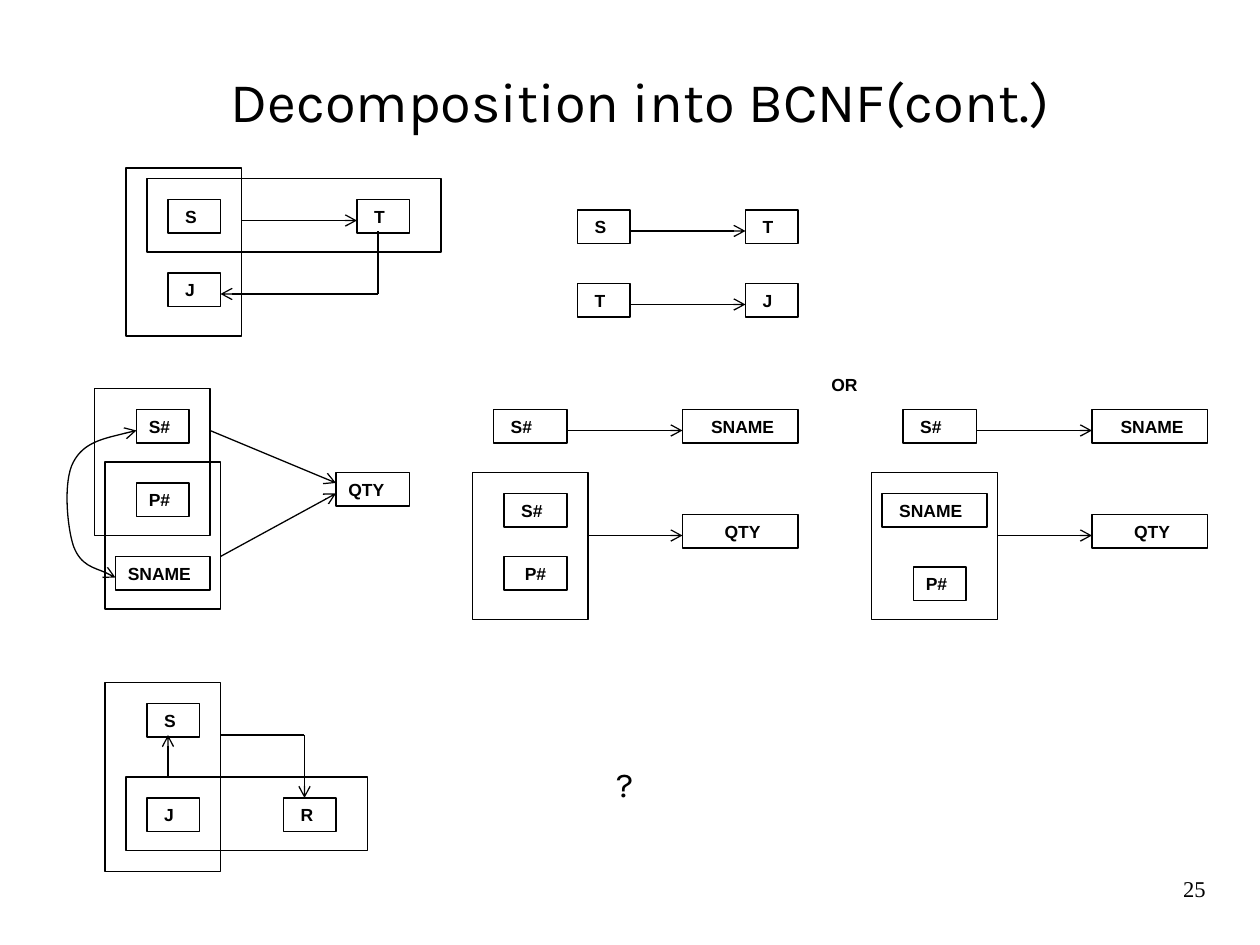
from dataclasses import dataclass

from lxml import etree
from pptx import Presentation
from pptx.dml.color import RGBColor
from pptx.enum.shapes import MSO_CONNECTOR, MSO_SHAPE
from pptx.enum.text import MSO_ANCHOR, MSO_AUTO_SIZE, PP_ALIGN
from pptx.oxml.ns import qn
from pptx.util import Cm, Pt

RECT = MSO_SHAPE.RECTANGLE
LINE = MSO_CONNECTOR.STRAIGHT
TOP, MIDDLE = MSO_ANCHOR.TOP, MSO_ANCHOR.MIDDLE
LEFT, CENTER, RIGHT = PP_ALIGN.LEFT, PP_ALIGN.CENTER, PP_ALIGN.RIGHT
GROW = MSO_AUTO_SIZE.SHAPE_TO_FIT_TEXT

COLORS = {"ink": "000000"}
INK = RGBColor.from_string(COLORS["ink"])
GRID = Cm(2.54) / 12  # all diagrams sit on a grid of twelve steps to the inch
TALL = 3.2  # height of a box with a label


@dataclass
class Box:
    text: str
    x: float
    y: float
    wide: float = 5
    align: PP_ALIGN = LEFT


@dataclass
class Frame:
    x: float
    y: float
    wide: float
    high: float


@dataclass
class Link:
    x1: float
    y1: float
    x2: float
    y2: float
    arrow: bool = True


@dataclass
class Note:
    text: str
    area: tuple[float, float, float, float]
    font: str
    size: float
    align: PP_ALIGN = LEFT
    anchor: MSO_ANCHOR = TOP
    bold: bool = False
    before: float = 0
    leading: float = 1.0


@dataclass
class Curve:
    """Chain of cubic curves: a start, then three points a piece."""
    points: list[tuple[float, float]]


def grid(*steps: float) -> list[int]:
    return [round(step * GRID) for step in steps]


def stroke(shape) -> None:
    shape.line.color.rgb = INK
    shape.line.width = Pt(0.75)


def outline(shape) -> None:
    shape.shadow.inherit = False
    shape.fill.background()
    stroke(shape)


def add_tip(shape, end: str) -> None:
    line = shape.line._get_or_add_ln()
    etree.SubElement(line, qn(f"a:{end}"), type="arrow")


def write(shape, note: Note) -> None:
    frame = shape.text_frame
    frame.word_wrap = True
    frame.vertical_anchor = note.anchor
    frame.text = note.text
    para = frame.paragraphs[0]
    para.alignment = note.align
    para.space_before = Pt(note.before)
    para.line_spacing = note.leading
    font = para.runs[0].font
    font.name, font.size, font.bold = note.font, Pt(note.size), note.bold
    font.color.rgb = INK


def draw_note(shapes, note: Note) -> None:
    write(shapes.add_textbox(*grid(*note.area)), note)


def draw_box(shapes, box: Box) -> None:
    area = (box.x, box.y, box.wide, TALL)
    shape = shapes.add_shape(RECT, *grid(*area))
    outline(shape)
    write(shape, Note(box.text, area, "Arial", 10, box.align, bold=True, before=6.2))
    shape.text_frame.auto_size = GROW


def draw_frame(shapes, frame: Frame) -> None:
    outline(shapes.add_shape(RECT, *grid(frame.x, frame.y, frame.wide, frame.high)))


def draw_link(shapes, link: Link) -> None:
    line = shapes.add_connector(LINE, *grid(link.x1, link.y1, link.x2, link.y2))
    stroke(line)
    if link.arrow:
        add_tip(line, "tailEnd")
    etree.SubElement(line._element.spPr, qn("a:effectLst"))


def draw_curve(shapes, curve: Curve) -> None:
    """Build a polyline in tenths of a step, then turn each three points into a cubic."""
    first, *rest = [(round(x * 10), round(y * 10)) for x, y in curve.points]
    pen = shapes.build_freeform(*first, scale=GRID / 10)
    pen.add_line_segments(rest, close=False)
    shape = pen.convert_to_shape()
    outline(shape)
    add_tip(shape, "headEnd")
    add_tip(shape, "tailEnd")
    track = shape._element.find(".//" + qn("a:path"))
    legs = track.findall(qn("a:lnTo"))
    for start in range(0, len(legs), 3):
        cubic = etree.SubElement(track, qn("a:cubicBezTo"))
        for leg in legs[start:start + 3]:
            cubic.append(leg[0])
            track.remove(leg)


DRAW = {Box: draw_box, Frame: draw_frame, Link: draw_link, Curve: draw_curve}


def split(x: float, frame: Frame, parts: list[Box]) -> list:
    """Parts of a two-table split: S# gives SNAME, and the framed key gives QTY."""
    end = x + 18
    return [
        frame, *parts,
        Box(" S#", x, 39, 7), Box(" SNAME", end, 39, 11, CENTER),
        Box(" QTY", end, 49, 11, CENTER),
        Link(x + 7, 41, end, 41), Link(frame.x + frame.wide, 51, end, 51),
    ]


DIAGRAMS = [
    [  # S, T, J before the split
        Box(" S", 16, 19), Box(" T", 34, 19), Box(" J", 16, 26),
        Frame(12, 16, 11, 16), Frame(14, 17, 28, 7),
        Link(23, 21, 34, 21), Link(36, 28, 21, 28), Link(36, 28, 36, 22, False),
    ],
    [  # S, T, J after the split
        Box(" S", 55, 20), Box(" T", 71, 20), Box(" T", 55, 27), Box(" J", 71, 27),
        Link(60, 22, 71, 22), Link(60, 29, 71, 29),
    ],
    [  # S, J, R
        Box(" S", 14, 67), Box(" J", 14, 76), Box(" R", 27, 76),
        Frame(10, 65, 11, 18), Frame(12, 74, 23, 7),
        Link(21, 70, 29, 70, False), Link(29, 70, 29, 76), Link(16, 74, 16, 70),
    ],
    [  # supplier, part and quantity before the split
        Box("S#", 13, 39), Box("P#", 13, 46), Box("SNAME", 11, 53, 9), Box("QTY", 32, 45, 7),
        Frame(9, 37, 11, 14), Frame(10, 44, 11, 14),
        Link(20, 41, 32, 46), Link(21, 53, 32, 47),
        Curve([(13, 41), (10.6, 41.6), (8, 42.1), (7, 44), (6, 45.8), (6.4, 50.2),
               (7, 52), (7.7, 53.9), (10.3, 54.5), (11, 55)]),
    ],
    split(47, Frame(45, 45, 11, 14), [Box(" S#", 48, 47, 6), Box("P#", 48, 53, 6, CENTER)]),
    split(86, Frame(83, 45, 12, 14), [Box(" SNAME", 84, 47, 10), Box("P#", 87, 54)]),
]

NOTES = [
    Note("Decomposition into BCNF(cont.)", (10, 2, 102, 15), "Karla", 32, CENTER, MIDDLE),
    Note("OR", (78, 35, 6, TALL), "Arial", 10, bold=True, before=6.2),
    Note("?", (54, 72, 11, 5.3), "Karla", 20, CENTER, before=12.5),
    Note("25", (91, 83, 25, 4), "Times New Roman", 12.9, RIGHT, leading=0.9),
]


def main() -> None:
    deck = Presentation()
    deck.slide_width, deck.slide_height = Cm(25.4), Cm(19.05)
    slide = deck.slides.add_slide(deck.slide_layouts[6])
    for note in NOTES:
        draw_note(slide.shapes, note)
    for parts in DIAGRAMS:
        group = slide.shapes.add_group_shape()
        for part in parts:
            DRAW[type(part)](group.shapes, part)
    deck.save("out.pptx")


if __name__ == "__main__":
    main()
